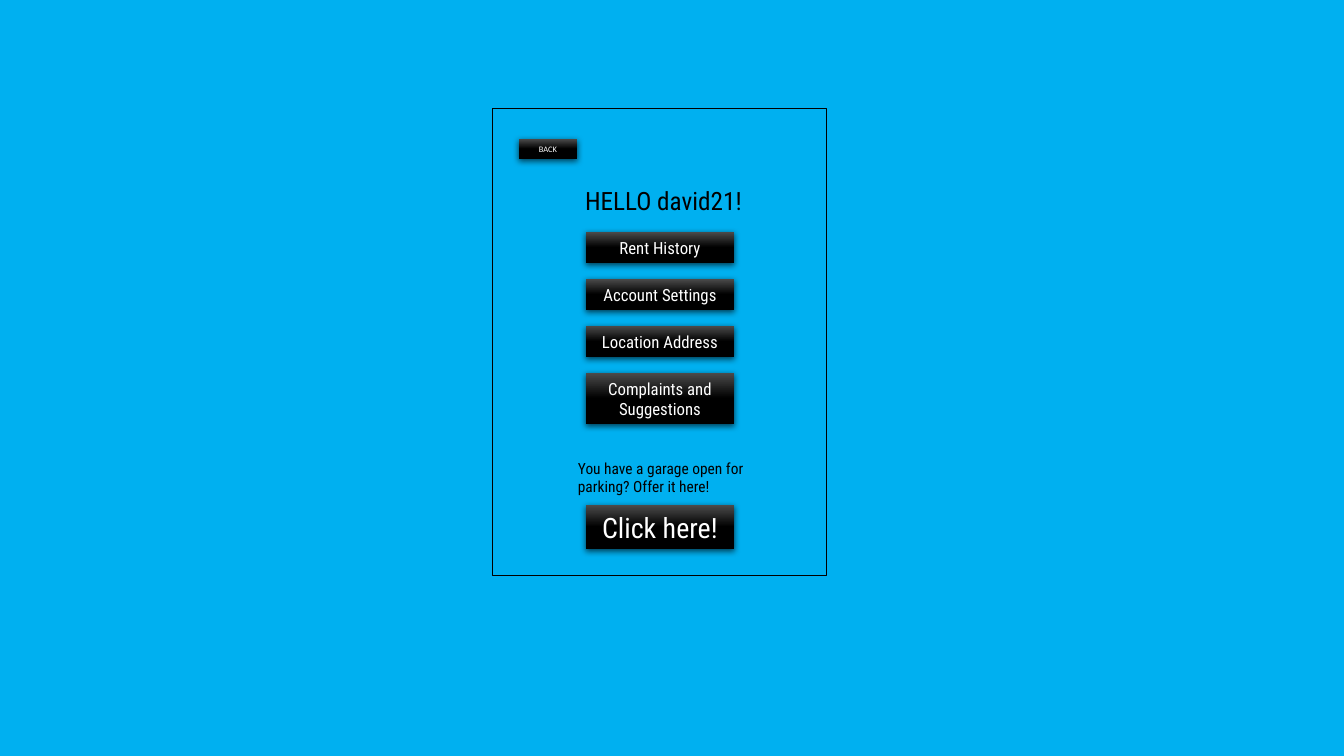
from pptx import Presentation
from pptx import util as u
from pptx.dml.color import RGBColor
from pptx.enum import shapes, text
from pptx.oxml import parse_xml
from pptx.oxml.ns import nsdecls, qn

PIXEL = 914400 / 100.8
BLACK, WHITE, SKY, CHARCOAL = "000000", "FFFFFF", "00B0F0", "4B4B4B"
CONDENSED = "Roboto Condensed"


def px(*lengths):
    """Turn pixel lengths into EMU."""
    return [u.Emu(round(length * PIXEL)) for length in lengths]


def color(code):
    """Return the colour of a hex string."""
    return RGBColor.from_string(code)


def write(shape, words, size, code, font=CONDENSED, align=text.PP_ALIGN.LEFT,
          anchor=text.MSO_ANCHOR.TOP):
    """Put one formatted paragraph into a shape."""
    frame = shape.text_frame
    frame.text = words
    frame.word_wrap = True
    frame.auto_size = text.MSO_AUTO_SIZE.NONE
    frame.vertical_anchor = anchor
    line = frame.paragraphs[0]
    line.alignment = align
    style = line.runs[0].font
    style.name, style.size = font, u.Pt(size)
    style.color.rgb = color(code)


def cast_shadow(shape):
    """Give a shape a soft shadow below it."""
    shape.shadow.inherit = False
    shape.element.spPr.find(qn("a:effectLst")).append(parse_xml(
        f'<a:outerShdw {nsdecls("a")} blurRad="57150" dist="19050" '
        f'dir="5400000" algn="ctr" rotWithShape="0"><a:srgbClr val="{BLACK}">'
        '<a:alpha val="63000"/></a:srgbClr></a:outerShdw>'))


def add_button(slide, box, label, size=12, font=CONDENSED):
    """Draw a glossy black button with a centred label."""
    button = slide.shapes.add_shape(shapes.MSO_SHAPE.RECTANGLE, *px(*box))
    button.line.fill.background()
    button.fill.gradient()
    button.fill.gradient_angle = 270
    for stop, (place, code) in zip(button.fill.gradient_stops,
                                   ((0, CHARCOAL), (0.5, BLACK))):
        stop.position = place
        stop.color.rgb = color(code)
    cast_shadow(button)
    write(button, label, size, WHITE, font, text.PP_ALIGN.CENTER,
          text.MSO_ANCHOR.MIDDLE)


def add_screen(slide, box):
    """Draw the outline of the app screen."""
    screen = slide.shapes.add_shape(shapes.MSO_SHAPE.RECTANGLE, *px(*box))
    screen.fill.background()
    screen.line.color.rgb = color(BLACK)
    screen.line.width = u.Pt(0.75)
    screen.shadow.inherit = False


def add_header(slide, box):
    """Place the back button and the greeting."""
    left, top, _, _ = box
    add_button(slide, (left + 26, top + 30, 58, 20), "BACK", 6, "Calibri")
    greeting = slide.shapes.title
    greeting.left, greeting.top, greeting.width, greeting.height = px(
        left + 82, top + 71, 195, 40)
    write(greeting, "HELLO david21!", 18, BLACK)


def add_menu(slide, box):
    """Stack the menu buttons with equal gaps."""
    left, top, width, _ = box
    for label, height in (("Rent History", 31), ("Account Settings", 31),
                          ("Location Address", 31),
                          ("Complaints and Suggestions", 51)):
        add_button(slide, (left, top, width, height), label)
        top += height + 16


def add_offer(slide, box):
    """Place the garage question above its button."""
    left, top, width, height = box
    question = slide.shapes.add_textbox(*px(left - 18, top, 200, 48))
    write(question, "You have a garage open for parking? Offer it here!",
          11, BLACK)
    add_button(slide, (left, top + height - 44, width, 44), "Click here!", 20)


def build_profile(deck):
    """Build the account screen slide."""
    slide = deck.slides.add_slide(deck.slide_layouts[5])
    slide.background.fill.solid()
    slide.background.fill.fore_color.rgb = color(SKY)
    screen = (493, 109, 334, 467)
    left, top, _, _ = screen
    add_screen(slide, screen)
    add_header(slide, screen)
    add_menu(slide, (left + 93, top + 123, 148, 192))
    add_offer(slide, (left + 93, top + 345, 148, 95))


deck = Presentation()
deck.slide_width, deck.slide_height = px(1344, 756)
build_profile(deck)
deck.save("out.pptx")
